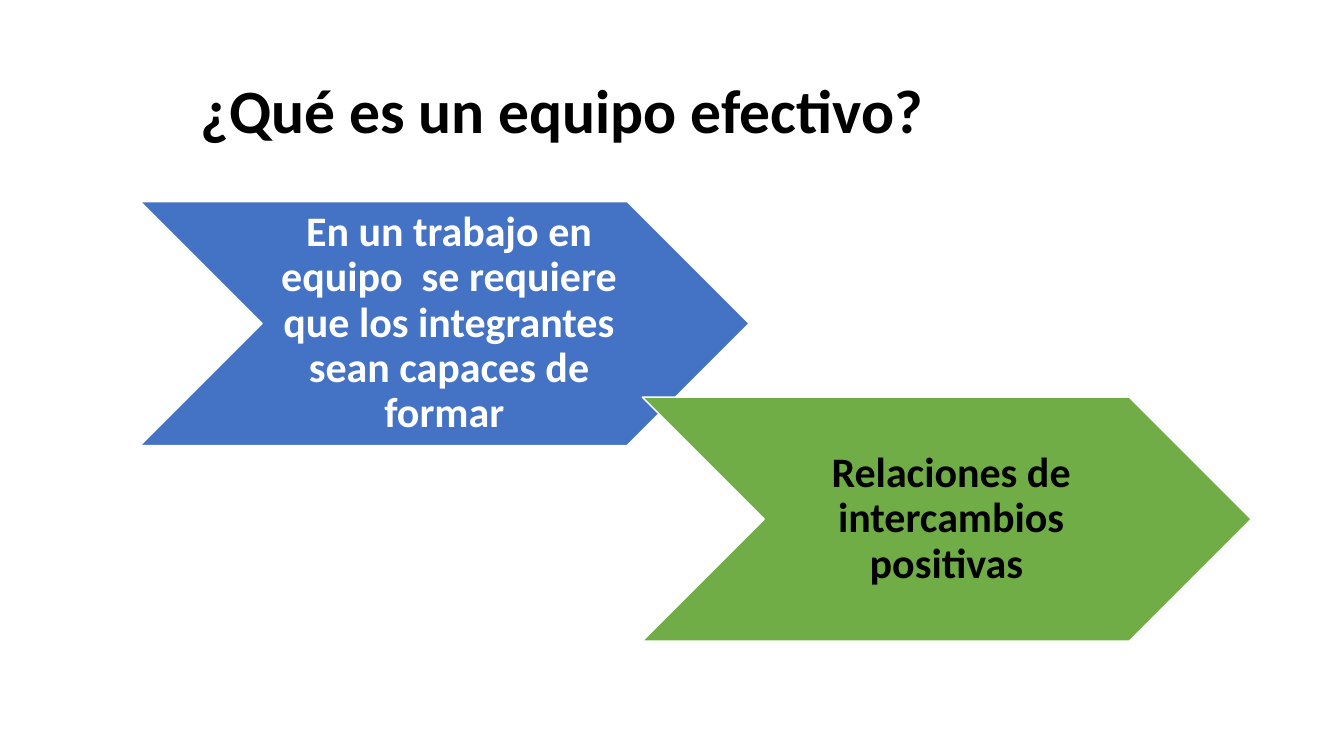
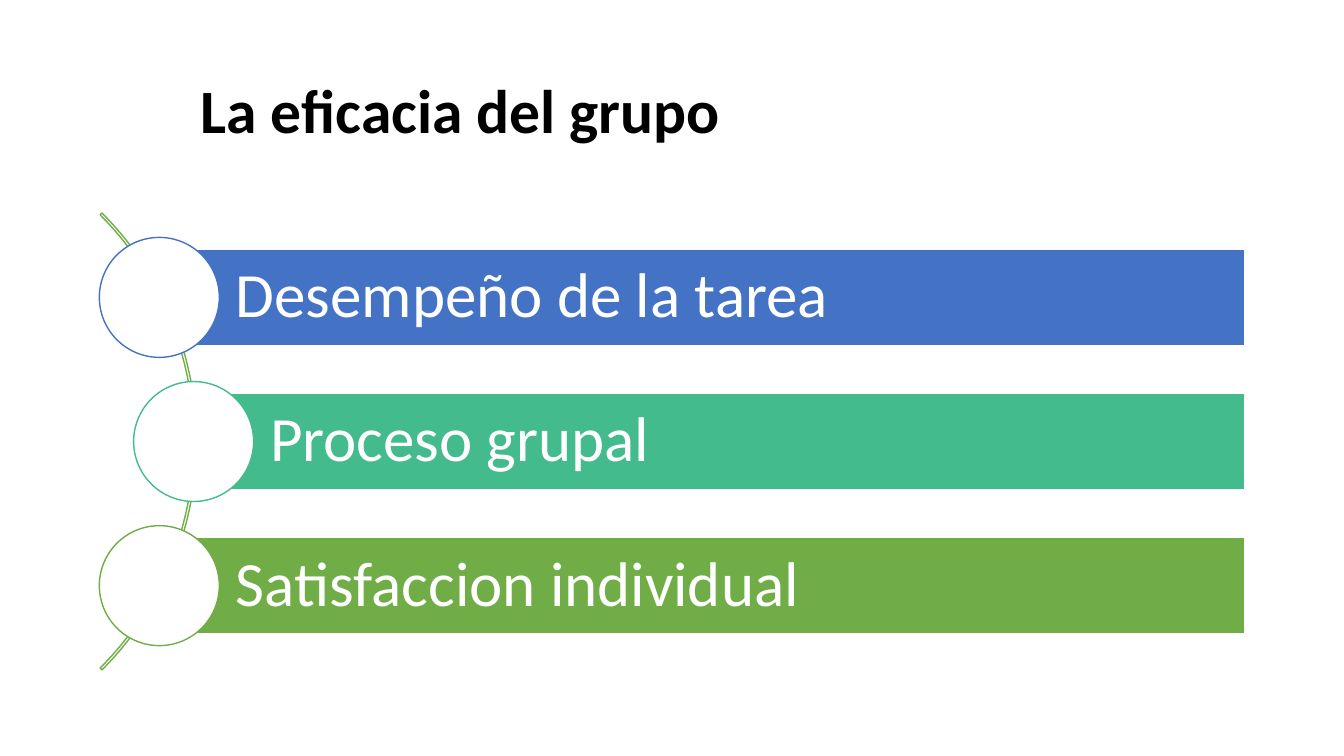
import pptx
import pptx.dml.color
import pptx.enum.shapes
import pptx.enum.text
import pptx.util

Inches = pptx.util.Inches
Shape = pptx.enum.shapes.MSO_SHAPE
Align = pptx.enum.text.PP_ALIGN

COLORS = {
    "white": "FFFFFF",
    "black": "000000",
    "blue": "4472C4",
    "teal": "43BB8D",
    "green": "70AD47",
}


def rgb(color):
    return pptx.dml.color.RGBColor.from_string(COLORS[color])


class Deck:
    """Hold the shared style and the slide being built."""

    font = "Calibri"
    title_size = 44
    title_box = (0.92, 0.4, 11.5, 1.45)
    title_insets = (1.07, 0.05, 0.1, 0.05)
    line_width = 1
    line_spacing = 0.9

    def __init__(self):
        self.prs = pptx.Presentation()
        self.prs.slide_width = Inches(13.33)
        self.prs.slide_height = Inches(7.5)

    def new_slide(self, title):
        self.slide = self.prs.slides.add_slide(self.prs.slide_layouts[6])
        heading = self.slide.shapes.add_textbox(*map(Inches, self.title_box))
        self.set_text(heading, title, self.title_size, "black", self.title_insets, bold=True)

    def set_text(self, holder, text, size, color, insets, bold=False, align=Align.LEFT):
        frame = holder.text_frame
        left, top, right, bottom = map(Inches, insets)
        paragraph = frame.paragraphs[0]
        paragraph.text = text
        formats = (
            (frame, {
                "word_wrap": True,
                "vertical_anchor": pptx.enum.text.MSO_ANCHOR.MIDDLE,
                "margin_left": left,
                "margin_top": top,
                "margin_right": right,
                "margin_bottom": bottom,
            }),
            (paragraph, {"alignment": align, "line_spacing": self.line_spacing}),
            (paragraph.font, {"name": self.font, "size": pptx.util.Pt(size), "bold": bold}),
        )
        for target, values in formats:
            for attribute, value in values.items():
                setattr(target, attribute, value)
        paragraph.font.color.rgb = rgb(color)

    def outline(self, kind, box, fill, line):
        drawn = self.slide.shapes.add_shape(kind, *map(Inches, box))
        drawn.shadow.inherit = False
        if fill:
            drawn.fill.solid()
            drawn.fill.fore_color.rgb = rgb(fill)
        else:
            drawn.fill.background()
        drawn.line.color.rgb = rgb(line)
        drawn.line.width = pptx.util.Pt(self.line_width)
        return drawn

    def chevron(self, box, text, fill, color):
        step = self.outline(Shape.CHEVRON, box, fill, "white")
        self.set_text(step, text, 30, color, (0.13, 0.04, 0.04, 0.04), True, Align.CENTER)

    def arc(self, box, color):
        curve = self.outline(Shape.BLOCK_ARC, box, None, color)
        for index, value in enumerate((189, 27, 0.004)):
            curve.adjustments[index] = value

    def bar(self, left, right, middle, text, color):
        height, diameter = 0.95, 1.19
        band = self.outline(
            Shape.RECTANGLE, (left, middle - height / 2, right - left, height), color, "white")
        self.set_text(band, text, 45, "white", (0.76, 0.12, 0.12, 0.12))
        radius = diameter / 2
        self.outline(
            Shape.OVAL, (left - radius, middle - radius, diameter, diameter), "white", color)


def main():
    deck = Deck()

    deck.new_slide("¿Qué es un equipo efectivo?")
    steps = (
        ("En un trabajo en equipo  se requiere que los integrantes sean capaces de formar ",
         "blue", "white"),
        ("Relaciones de intercambios positivas ", "green", "black"),
    )
    for index, (text, fill, color) in enumerate(steps):
        deck.chevron((1.39 + 4.98 * index, 2 + 1.94 * index, 6.04, 2.42), text, fill, color)

    deck.new_slide("La eficacia del grupo")
    center, pitch, arc_size = 4.38, 1.43, 6.41
    deck.arc((-4.46, center - arc_size / 2, arc_size, arc_size), "green")
    factors = (
        ("Desempeño de la tarea", "blue", 1.58),
        ("Proceso grupal", "teal", 1.92),
        ("Satisfaccion individual", "green", 1.58),
    )
    for index, (text, color, left) in enumerate(factors):
        deck.bar(left, 12.35, center + (index - 1) * pitch, text, color)

    deck.prs.save("out.pptx")


if __name__ == "__main__":
    main()
